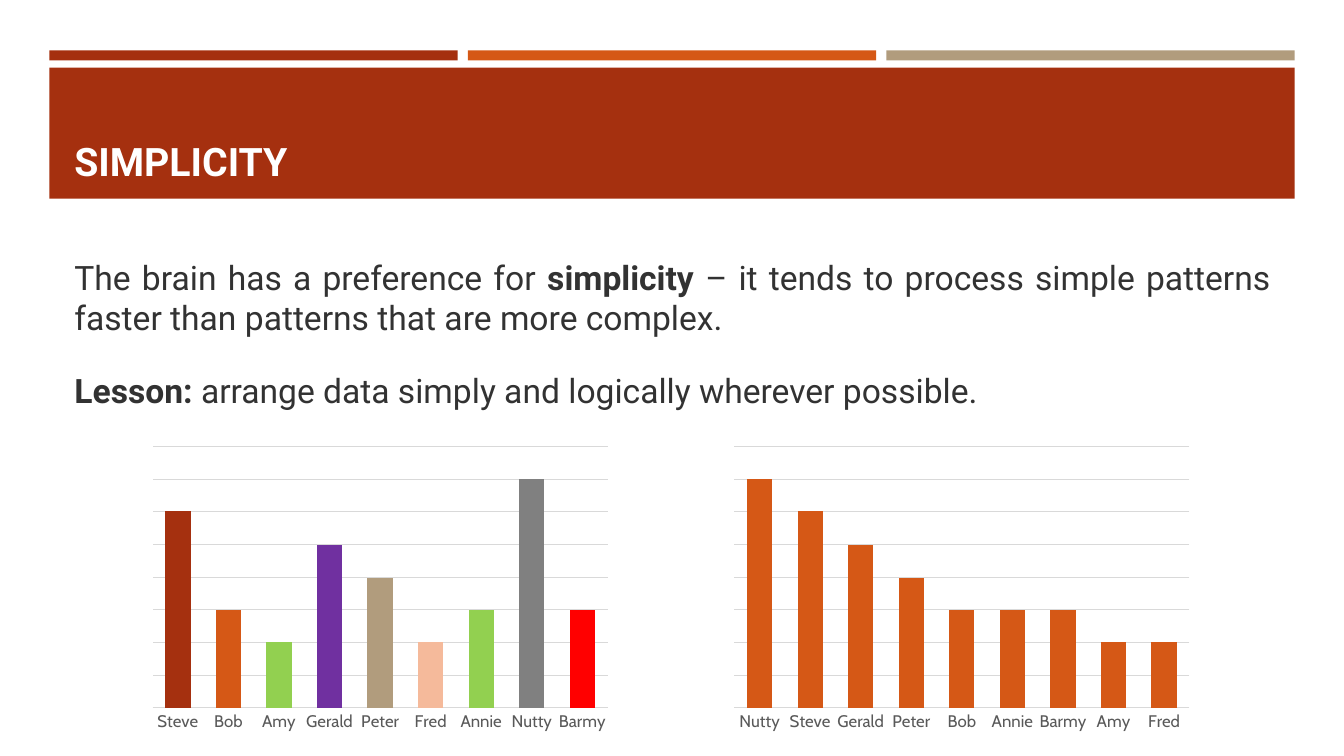
import lxml.etree
import pptx
import pptx.chart.data
import pptx.dml.color
import pptx.enum.chart
import pptx.enum.shapes
import pptx.enum.text
import pptx.util

COLORS = {
    "rust": "A5300F", "orange": "D55816", "tan": "B19C7D", "green": "92D050",
    "purple": "7030A0", "peach": "F5BA9B", "gray": "808080", "red": "FF0000",
    "white": "FFFFFF", "text": "323232", "label": "595959", "grid": "D9D9D9",
}
Inches, Pt = pptx.util.Inches, pptx.util.Pt


def rgb(name):
    return pptx.dml.color.RGBColor.from_string(COLORS[name])


def add_text(left, top, width, height, anchor):
    frame = slide.shapes.add_textbox(
        Inches(left), Inches(top), Inches(width), Inches(height)).text_frame
    frame.word_wrap = True
    frame.vertical_anchor = anchor
    return frame


deck = pptx.Presentation()
deck.slide_width, deck.slide_height = Inches(13.33), Inches(7.5)
slide = deck.slides.add_slide(deck.slide_layouts[6])

# Three accent strips above the title band
margin, strip_width, strip_pitch = 0.49, 4.05, 4.15
bands = [(margin + column * strip_pitch, 0.5, strip_width, 0.1, color)
         for column, color in enumerate(["rust", "orange", "tan"])]
bands.append((margin, 0.67, 2 * strip_pitch + strip_width, 1.3, "rust"))
for left, top, width, height, color in bands:
    band = slide.shapes.add_shape(
        pptx.enum.shapes.MSO_SHAPE.RECTANGLE,
        Inches(left), Inches(top), Inches(width), Inches(height))
    band.shadow.inherit = False
    band.fill.solid()
    band.fill.fore_color.rgb = rgb(color)
    band.line.fill.background()

# Title
text_left, text_width = 0.64, 12.06
title = add_text(text_left, 0.77, text_width, 1.11,
                 pptx.enum.text.MSO_ANCHOR.BOTTOM).paragraphs[0]
title.text = "SIMPLICITY"
title.font.name, title.font.size, title.font.bold = "Roboto", Pt(28), True
title.font.color.rgb = rgb("white")

# Principle and lesson
message = add_text(text_left, 2.5, text_width, 1.7, pptx.enum.text.MSO_ANCHOR.TOP)
statements = [
    [("The brain has a preference for ", False), ("simplicity ", True),
     ("– it tends to process simple patterns faster than patterns "
      "that are more complex.", False)],
    [("Lesson:", True),
     (" arrange data simply and logically wherever possible.", False)],
]
for index, statement in enumerate(statements):
    paragraph = message.add_paragraph() if index else message.paragraphs[0]
    paragraph.alignment = pptx.enum.text.PP_ALIGN.JUSTIFY
    paragraph.space_before = Pt(17 * index)
    paragraph.space_after = Pt(6)
    paragraph.font.name, paragraph.font.size = "Roboto", Pt(24)
    paragraph.font.color.rgb = rgb("text")
    for words, bold in statement:
        run = paragraph.add_run()
        run.text = words
        run.font.bold = bold

# The same scores, unordered in many colours and then sorted in one
scores = {"Steve": 86, "Bob": 43, "Amy": 29, "Gerald": 71, "Peter": 57,
          "Fred": 29, "Annie": 43, "Nutty": 100, "Barmy": 43}
mixed_colors = ["rust", "orange", "green", "purple", "tan",
                "peach", "green", "gray", "red"]
ranked_names = ["Nutty", "Steve", "Gerald", "Peter", "Bob",
                "Annie", "Barmy", "Amy", "Fred"]
grid_step, grid_rows = 14.29, 8

for left, names, base_color, bar_colors in [
        (1.42, list(scores), "rust", mixed_colors),
        (7.19, ranked_names, "orange", [])]:
    data = pptx.chart.data.CategoryChartData()
    data.categories = names
    data.add_series("Series 1", [scores[name] for name in names])
    chart = slide.shapes.add_chart(
        pptx.enum.chart.XL_CHART_TYPE.COLUMN_CLUSTERED,
        Inches(left), Inches(4.37), Inches(4.7), Inches(2.95), data).chart
    chart.has_legend = False
    chart.has_title = False
    chart.font.name, chart.font.size = "Cabin", Pt(10)

    bars = chart.plots[0]
    bars.gap_width = 100
    bars.vary_by_categories = False
    series = bars.series[0]
    series.format.fill.solid()
    series.format.fill.fore_color.rgb = rgb(base_color)
    for index, color in enumerate(bar_colors):
        fill = series.points[index].format.fill
        fill.solid()
        fill.fore_color.rgb = rgb(color)

    people = chart.category_axis
    people.major_tick_mark = pptx.enum.chart.XL_TICK_MARK.NONE
    people.tick_labels.font.name = "Cabin"
    people.tick_labels.font.size = Pt(12)
    people.tick_labels.font.color.rgb = rgb("label")

    scale = chart.value_axis
    scale.minimum_scale = 0
    scale.maximum_scale = grid_step * grid_rows
    scale.major_unit = grid_step
    scale.has_major_gridlines = True
    scale.visible = False
    for rule in (people.format.line, scale.major_gridlines.format.line):
        rule.color.rgb = rgb("grid")
        rule.width = Pt(0.75)

deck.save("out.pptx")
